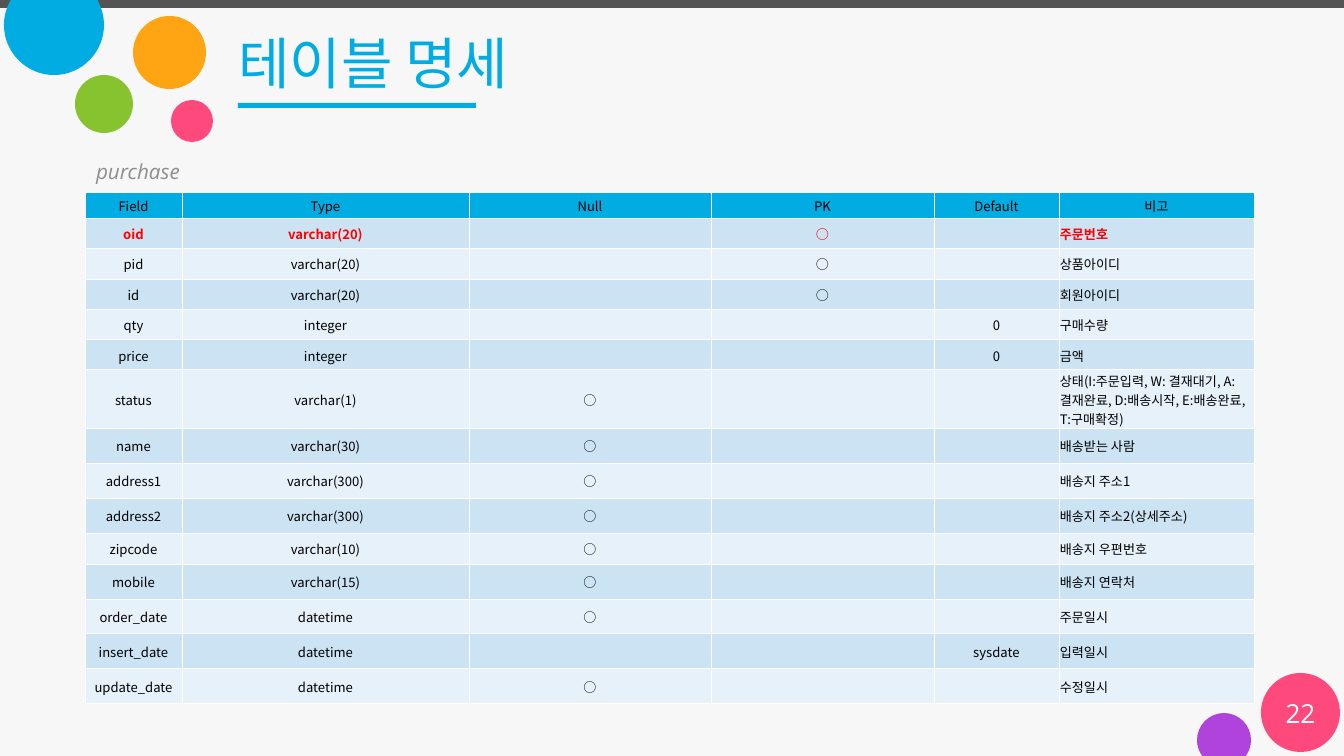
"""Build the table specification slide for the purchase table."""
from math import asin, sqrt, tan

from lxml.etree import SubElement
from pptx import Presentation
from pptx.dml.color import RGBColor
from pptx.enum.shapes import MSO_SHAPE as Shape
from pptx.enum.text import MSO_ANCHOR as Anchor, MSO_AUTO_SIZE as AutoSize, PP_ALIGN as Align
from pptx.oxml.ns import qn
from pptx.util import Pt

SCALE = 914400 / 67.2
WIDTH, HEIGHT = 1344, 756
BACKGROUND = RGBColor(0xF7, 0xF7, 0xF7)
CHARCOAL = RGBColor(0x54, 0x54, 0x54)
BLUE = RGBColor(0x00, 0xAC, 0xE2)
ORANGE = RGBColor(0xFF, 0xA5, 0x13)
GREEN = RGBColor(0x87, 0xC3, 0x2F)
PINK = RGBColor(0xFD, 0x49, 0x7C)
PURPLE = RGBColor(0xB1, 0x43, 0xDD)
GRAY = RGBColor(0x8E, 0x8E, 0x8E)
WHITE = RGBColor(0xFF, 0xFF, 0xFF)
BLACK = RGBColor(0x00, 0x00, 0x00)
RED = RGBColor(0xFF, 0x00, 0x00)
ROW_DARK = RGBColor(0xCC, 0xE3, 0xF4)
ROW_LIGHT = RGBColor(0xE7, 0xF1, 0xFA)

COLUMN_WIDTHS = [97, 287, 242, 223, 125, 195]
ROW_HEIGHTS = [26, 30, 31, 30, 31, 30, 35, 35, 35, 35, 31, 35, 35, 35, 35]
ROWS = [
    ("Field", "Type", "Null", "PK", "Default", "비고"),
    ("oid", "varchar(20)", "", "○", "", "주문번호"),
    ("pid", "varchar(20)", "", "○", "", "상품아이디"),
    ("id", "varchar(20)", "", "○", "", "회원아이디"),
    ("qty", "integer", "", "", "0", "구매수량"),
    ("price", "integer", "", "", "0", "금액"),
    ("status", "varchar(1)", "○", "", "",
     "상태(I:주문입력, W: 결재대기, A:결재완료, D:배송시작, E:배송완료, T:구매확정)"),
    ("name", "varchar(30)", "○", "", "", "배송받는 사람"),
    ("address1", "varchar(300)", "○", "", "", "배송지 주소1"),
    ("address2", "varchar(300)", "○", "", "", "배송지 주소2(상세주소)"),
    ("zipcode", "varchar(10)", "○", "", "", "배송지 우편번호"),
    ("mobile", "varchar(15)", "○", "", "", "배송지 연락처"),
    ("order_date", "datetime", "○", "", "", "주문일시"),
    ("insert_date", "datetime", "", "", "sysdate", "입력일시"),
    ("update_date", "datetime", "○", "", "", "수정일시"),
]


def px(length):
    """Turn a length in px into EMU."""
    return round(length * SCALE)


def paint(shape, color):
    """Give a shape a plain fill without line or shadow."""
    shape.shadow.inherit = False
    shape.fill.solid()
    shape.fill.fore_color.rgb = color
    shape.line.fill.background()


def add_preset(slide, preset, left, top, width, height, color):
    """Add a plain preset shape."""
    shape = slide.shapes.add_shape(preset, px(left), px(top), px(width), px(height))
    paint(shape, color)


def add_cut_circle(slide, x, y, radius, edge, color):
    """Add a circle around x, y that is cut off straight at the slide edge."""
    depth = abs(edge - y)
    away = 1 if edge < y else -1
    chord = sqrt(radius ** 2 - depth ** 2)
    short = 4 / 3 * tan(asin(depth / radius) / 4)
    long = 0.55 * radius
    near_x = chord + short * depth
    near_y = edge + away * short * chord
    side_y = y - away * short * radius
    far = y + away * radius
    curves = [
        [(x + near_x, near_y), (x + radius, side_y), (x + radius, y)],
        [(x + radius, y + away * long), (x + long, far), (x, far)],
        [(x - long, far), (x - radius, y + away * long), (x - radius, y)],
        [(x - radius, side_y), (x - near_x, near_y), (x - chord, edge)],
    ]
    builder = slide.shapes.build_freeform(px(x - chord), px(edge))
    ends = [(x + chord, edge)] + [curve[-1] for curve in curves]
    builder.add_line_segments([(px(end_x), px(end_y)) for end_x, end_y in ends])
    shape = builder.convert_to_shape()
    segments = list(shape._element.iter(qn("a:lnTo")))[1:]
    for segment, curve in zip(segments, curves):
        segment.tag = qn("a:cubicBezTo")
        segment.remove(segment[0])
        for point_x, point_y in curve:
            point = SubElement(segment, qn("a:pt"))
            point.set("x", str(px(point_x) - shape.left))
            point.set("y", str(px(point_y) - shape.top))
    paint(shape, color)


def style_paragraph(paragraph, font_name, size, color, align=Align.LEFT):
    """Set the alignment and font of a paragraph."""
    paragraph.alignment = align
    font = paragraph.font
    font.name, font.size = font_name, Pt(size)
    font.color.rgb = color


def fill_text(shape, box, text, anchor):
    """Place a text shape in its box and return its paragraph."""
    shape.left, shape.top, shape.width, shape.height = map(px, box)
    frame = shape.text_frame
    frame.word_wrap, frame.auto_size = True, AutoSize.NONE
    frame.vertical_anchor = anchor
    frame.margin_left = frame.margin_right = px(12)
    frame.margin_top = frame.margin_bottom = px(6)
    frame.text = text
    return frame.paragraphs[0]


def add_header(slide, left, top):
    """Place the title, its underline and the table name."""
    title = fill_text(slide.shapes.title, (left, top, 1054, 89), "테이블 명세", Anchor.MIDDLE)
    style_paragraph(title, "Calibri", 60, BLUE)
    add_preset(slide, Shape.RECTANGLE, left + 12, top + 85, 238, 5, BLUE)
    name = fill_text(slide.placeholders[1], (left - 142, top + 135, 1053, 37), "purchase", Anchor.TOP)
    properties = name._p.get_or_add_pPr()
    properties.set("marL", "0")
    properties.set("indent", "0")
    name.space_before = Pt(0)
    SubElement(properties, qn("a:buNone"))
    style_paragraph(name, "Open Sans", 22.2, GRAY)
    name.font.italic = True


def add_decoration(slide):
    """Place the top bar and the coloured circles in the top left corner."""
    add_preset(slide, Shape.RECTANGLE, 0, 0, WIDTH, 8, CHARCOAL)
    add_cut_circle(slide, 54, 25, 50, 0, BLUE)
    for left, top, size, color in [(171, 100, 42, PINK), (75, 75, 58, GREEN), (133, 16, 73, ORANGE)]:
        add_preset(slide, Shape.OVAL, left, top, size, size, color)


def add_page_number(slide, left, top, size):
    """Place the page number on its circle, with a cut circle beside it."""
    add_preset(slide, Shape.OVAL, left, top, size, size, PINK)
    add_cut_circle(slide, left - 37, top + 67, 27, HEIGHT, PURPLE)
    box = (left, top + 20, size, 40)
    number = fill_text(slide.shapes.add_textbox(0, 0, 0, 0), box, "22", Anchor.MIDDLE)
    style_paragraph(number, "Open Sans", 28, WHITE, Align.CENTER)


def add_borders(cell):
    """Draw thin white borders around a cell."""
    properties = cell._tc.get_or_add_tcPr()
    for side in "LRTB":
        line = SubElement(properties, qn(f"a:ln{side}"))
        line.set("w", str(Pt(1)))
        fill = SubElement(line, qn("a:solidFill"))
        SubElement(fill, qn("a:srgbClr")).set("val", str(WHITE))


def add_field_table(slide, left, top):
    """Place the table of fields, with the first key in red."""
    frame = slide.shapes.add_table(len(ROWS), len(COLUMN_WIDTHS), px(left), px(top),
                                   px(sum(COLUMN_WIDTHS)), px(sum(ROW_HEIGHTS)))
    table = frame.table
    for column, width in zip(table.columns, COLUMN_WIDTHS):
        column.width = px(width)
    for row_index, (row, height, values) in enumerate(zip(table.rows, ROW_HEIGHTS, ROWS)):
        row.height = px(height)
        is_header, is_key = row_index == 0, row_index == 1
        band = BLUE if is_header else ROW_DARK if row_index % 2 else ROW_LIGHT
        for column_index, (cell, value) in enumerate(zip(row.cells, values)):
            add_borders(cell)
            cell.fill.solid()
            cell.fill.fore_color.rgb = band
            cell.vertical_anchor = Anchor.MIDDLE
            cell.margin_left = cell.margin_right = cell.margin_top = px(1)
            cell.margin_bottom = 0
            cell.text = value
            is_remark = column_index == len(values) - 1 and not is_header
            paragraph = cell.text_frame.paragraphs[0]
            style_paragraph(paragraph, "Noto Sans CJK KR", 14, RED if is_key else BLACK,
                            Align.LEFT if is_remark else Align.CENTER)
            paragraph.font.bold = is_key
            font_properties = paragraph._p.pPr.find(qn("a:defRPr"))
            SubElement(font_properties, qn("a:ea")).set("typeface", "Noto Sans CJK KR")


def main():
    """Build the slide and save it."""
    presentation = Presentation()
    presentation.slide_width, presentation.slide_height = px(WIDTH), px(HEIGHT)
    slide = presentation.slides.add_slide(presentation.slide_layouts[1])
    slide.background.fill.solid()
    slide.background.fill.fore_color.rgb = BACKGROUND
    add_decoration(slide)
    add_header(slide, 226, 18)
    add_page_number(slide, 1261, 673, 79)
    add_field_table(slide, 85, 192)
    presentation.save("out.pptx")


if __name__ == "__main__":
    main()
